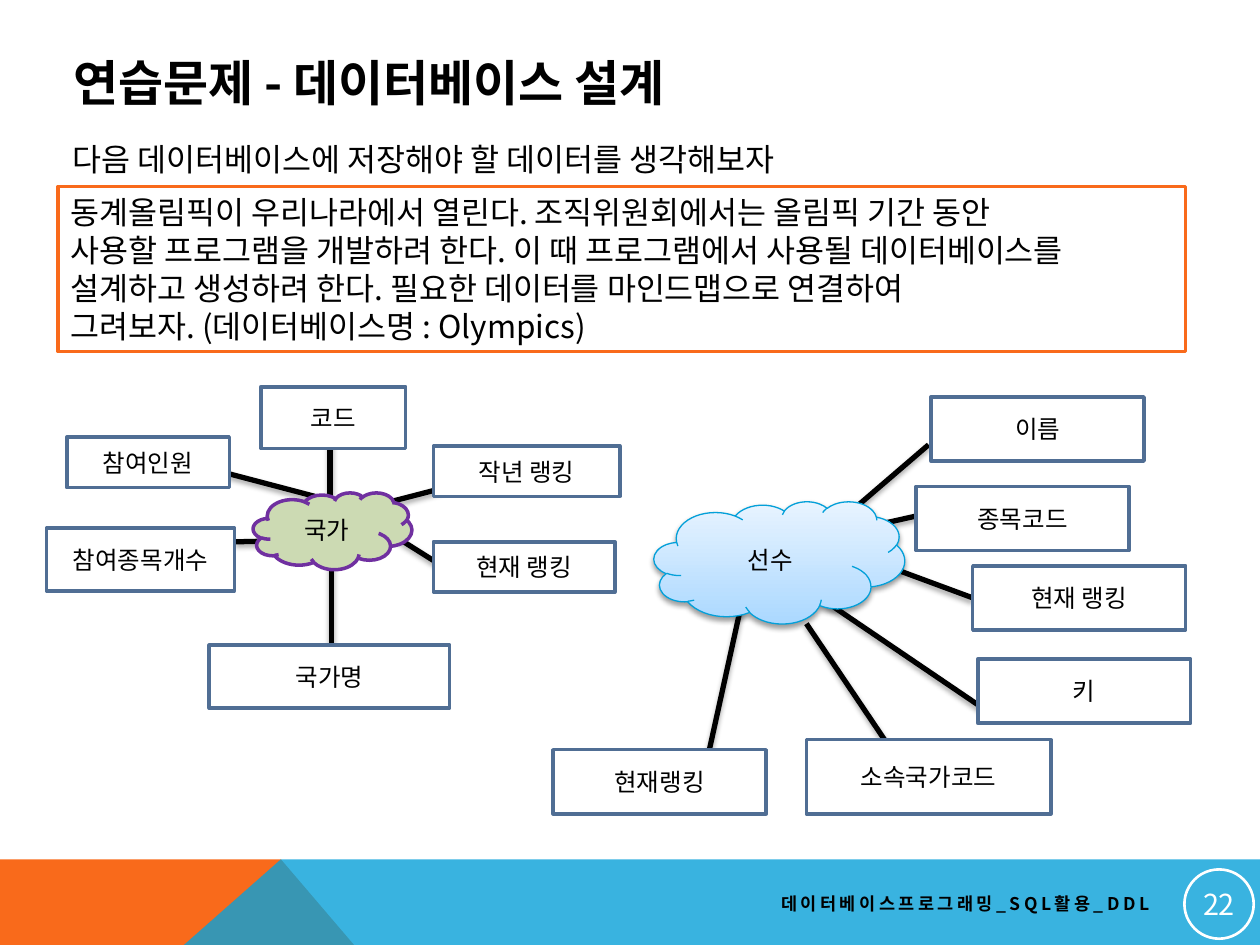
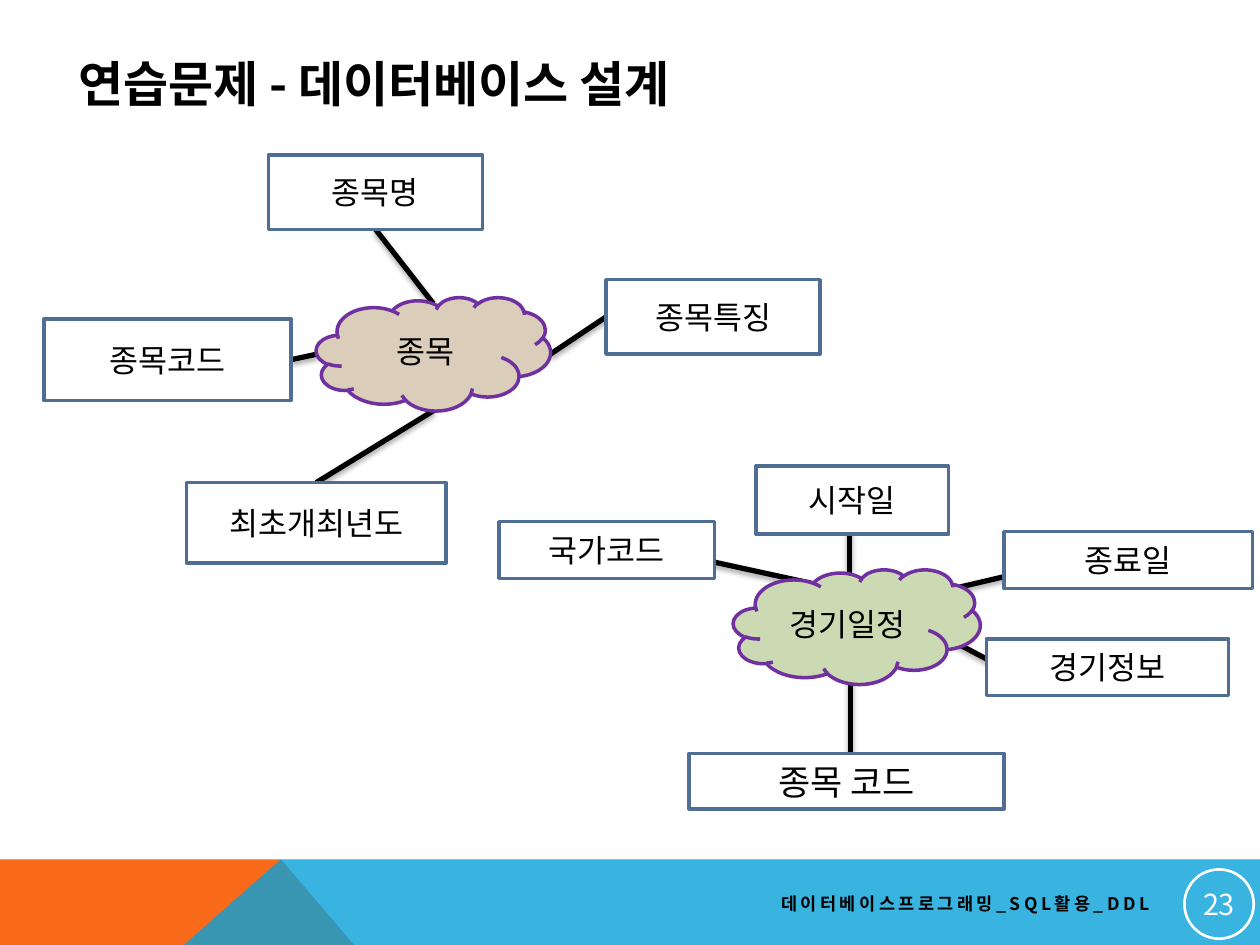
from dataclasses import dataclass
from typing import Optional

from lxml import etree
from pptx import Presentation
from pptx.dml.color import RGBColor
from pptx.enum.shapes import MSO_CONNECTOR, MSO_SHAPE
from pptx.enum.text import MSO_ANCHOR, PP_ALIGN
from pptx.oxml.ns import qn
from pptx.util import Inches, Pt

RECTANGLE, CLOUD, OVAL = MSO_SHAPE.RECTANGLE, MSO_SHAPE.CLOUD, MSO_SHAPE.OVAL
STRAIGHT = MSO_CONNECTOR.STRAIGHT
TOP, MIDDLE = MSO_ANCHOR.TOP, MSO_ANCHOR.MIDDLE
LEFT, CENTER, RIGHT = PP_ALIGN.LEFT, PP_ALIGN.CENTER, PP_ALIGN.RIGHT
SIDE_TOP, SIDE_LEFT, SIDE_BOTTOM, SIDE_RIGHT = range(4)

FONT = "Noto Sans CJK KR"
BLACK, WHITE = "000000", "FFFFFF"
ORANGE, BLUE, STEEL, PURPLE = "F96A1B", "08A1D9", "506E94", "7030A0"
GREEN, BEIGE = "CCDAB3", "DACEBB"
SKY, SKY_DARK, SKY_LIGHT = "03A0D9", "ABD8FF", "E8F4FF"
TITLE = "연습문제 - 데이터베이스 설계"
FOOTER = "데이터베이스프로그래밍_SQL활용_DDL"
BODY_LINE_HEIGHT = 21.7


@dataclass
class Branch:
    """A labelled box and the line from it (start) to its cloud (end)."""
    label: str
    box: tuple
    start: tuple
    end: tuple
    side: Optional[int] = None  # box side whose middle the line joins
    size: Optional[float] = None


def color(value):
    return RGBColor.from_string(value)


def inches(values):
    return [Inches(value) for value in values]


def write(shape, lines, size, ink=BLACK, align=CENTER, anchor=MIDDLE,
          bold=False, spacing=None, line_height=None):
    """Fill the shape with one paragraph; lines are split by line breaks."""
    frame = shape.text_frame
    frame.word_wrap = True
    frame.vertical_anchor = anchor
    paragraph = frame.paragraphs[0]
    paragraph.alignment = align
    if line_height:
        paragraph.line_spacing = Pt(line_height)
    for index, line in enumerate(lines):
        if index:
            paragraph.add_line_break()
        run = paragraph.add_run()
        run.text = line
        run.font.name = FONT
        run.font.size = Pt(size)
        run.font.bold = bold
        run.font.color.rgb = color(ink)
        properties = run.font._element
        etree.SubElement(properties, qn("a:ea"), typeface=FONT)
        if spacing:
            properties.set("spc", str(spacing * 100))


def add_text(slide, box, lines, size, **style):
    shape = slide.shapes.add_textbox(*inches(box))
    write(shape, lines, size, **style)


def add_figure(slide, kind, box, fill, line, width=2):
    shape = slide.shapes.add_shape(kind, *inches(box))
    shape.shadow.inherit = False
    if fill:
        shape.fill.solid()
        shape.fill.fore_color.rgb = color(fill)
    else:
        shape.fill.background()
    shape.line.color.rgb = color(line)
    shape.line.width = Pt(width)
    return shape


def add_shadow(shape, alpha):
    """Give the shape a soft shadow falling straight down."""
    properties = shape._element.spPr
    effects = properties.find(qn("a:effectLst"))
    if effects is None:
        effects = etree.SubElement(properties, qn("a:effectLst"))
    shadow = etree.SubElement(effects, qn("a:outerShdw"), blurRad=str(Pt(3.1)),
                              dist=str(Pt(1.8)), dir="5400000", rotWithShape="0")
    ink = etree.SubElement(shadow, qn("a:srgbClr"), val=BLACK)
    etree.SubElement(ink, qn("a:alpha"), val=str(alpha * 1000))


def add_line(slide, start, end):
    line = slide.shapes.add_connector(STRAIGHT, *inches(start + end))
    line.line.color.rgb = color(BLACK)
    line.line.width = Pt(3)
    add_shadow(line, 35)
    return line


def add_band(slide, points, fill, opacity=100):
    corners = [tuple(inches(point)) for point in points]
    builder = slide.shapes.build_freeform(*corners[0])
    builder.add_line_segments(corners[1:], close=True)
    band = builder.convert_to_shape()
    band.shadow.inherit = False
    band.fill.solid()
    band.fill.fore_color.rgb = color(fill)
    band.line.fill.background()
    if opacity < 100:
        ink = band._element.spPr.find(qn("a:solidFill")).find(qn("a:srgbClr"))
        etree.SubElement(ink, qn("a:alpha"), val=str(opacity * 1000))


def add_base_slide(presentation, number, title_left, title_top):
    """Slide with title, footer bands, footer text and page number."""
    slide = presentation.slides.add_slide(presentation.slide_layouts[5])
    add_band(slide, [(0, 6.82), (2.23, 6.82), (2.81, 7.5), (0, 7.5)], ORANGE)
    add_band(slide, [(2.23, 6.82), (10, 6.82), (10, 7.5), (1.46, 7.5)], BLUE, 80)
    add_text(slide, (3.58, 7.02, 5.64, 0.3), [FOOTER], 10,
             align=RIGHT, bold=True, spacing=2)

    badge = add_figure(slide, OVAL, (9.4, 6.9, 0.55, 0.55), None, WHITE, 1.5)
    frame = badge.text_frame
    frame.margin_left = frame.margin_right = Inches(0.01)
    frame.margin_top = frame.margin_bottom = Inches(0.01)
    write(badge, [str(number)], 16.5, ink=WHITE)

    title = slide.shapes.title
    title.left, title.top, title.width, title.height = inches(
        (title_left, title_top, 8.22, 0.6))
    write(title, [TITLE], 28, align=LEFT, bold=True)
    return slide


def add_mind_map(slide, topic, box, branches, size, fill=None, line=PURPLE, width=2):
    """Lines lie at the back, then the boxes, then the cloud."""
    lines = [add_line(slide, branch.start, branch.end) for branch in branches]
    for branch, connector in zip(branches, lines):
        shape = add_figure(slide, RECTANGLE, branch.box, WHITE, STEEL)
        write(shape, [branch.label], branch.size or size)
        if branch.side is not None:
            connector.begin_connect(shape, branch.side)
    cloud = add_figure(slide, CLOUD, box, fill, line, width)
    write(cloud, [topic], size)
    return cloud


def build_country_and_athlete(presentation):
    slide = add_base_slide(presentation, 22, 0.48, 0.35)

    # Task
    add_text(slide, (0.48, 1.06, 8.94, 0.4),
             ["다음 데이터베이스에 저장해야 할 데이터를 생각해보자"], 18,
             align=LEFT, anchor=TOP, line_height=BODY_LINE_HEIGHT)
    task = add_figure(slide, RECTANGLE, (0.46, 1.48, 8.95, 1.31), WHITE, ORANGE)
    write(task, [
        "동계올림픽이 우리나라에서 열린다. 조직위원회에서는 올림픽 기간 동안",
        "사용할 프로그램을 개발하려 한다. 이 때 프로그램에서 사용될 데이터베이스를 "
        "설계하고 생성하려 한다. 필요한 데이터를 마인드맵으로 연결하여",
        "그려보자. (데이터베이스명 : Olympics)",
    ], 18, align=LEFT, anchor=TOP, line_height=BODY_LINE_HEIGHT)

    # Athlete
    width, height = 1.69, 0.51
    athlete = add_mind_map(slide, "선수", (5.19, 3.98, 1.99, 0.97), [
        Branch("이름", (7.39, 3.15, width, height), (7.37, 3.53), (6.52, 4.26)),
        Branch("종목코드", (7.27, 3.86, width, height), (7.61, 4.02), (6.76, 4.21)),
        Branch("현재 랭킹", (7.72, 4.49, width, height), (7.72, 4.74), (6.84, 4.42),
               SIDE_LEFT),
        Branch("키", (7.76, 5.23, width, height), (7.8, 5.62), (6.12, 4.48)),
        Branch("현재랭킹", (4.39, 5.95, width, height), (5.63, 5.95), (5.91, 4.68)),
        Branch("소속국가코드", (6.4, 5.87, 1.94, 0.59), (7.02, 5.87), (6.4, 4.95)),
    ], 14, line=SKY, width=0.75)
    athlete.fill.gradient()
    athlete.fill.gradient_angle = 90
    for stop, shade in zip(athlete.fill.gradient_stops, (SKY_DARK, SKY_LIGHT)):
        stop.color.rgb = color(shade)
    add_shadow(athlete, 38)

    # Country
    add_mind_map(slide, "국가", (2.01, 3.91, 1.26, 0.61), [
        Branch("참여종목개수", (0.37, 4.19, 1.49, 0.5), (1.87, 4.3), (2.36, 4.29)),
        Branch("참여인원", (0.53, 3.47, 1.29, 0.4), (1.74, 3.74), (2.5, 3.94)),
        Branch("코드", (2.07, 3.07, 1.15, 0.49), (2.62, 3.29), (2.62, 4.13)),
        Branch("현재 랭킹", (3.44, 4.3, 1.44, 0.4), (3.57, 4.53), (3.14, 4.26)),
        Branch("국가명", (1.66, 5.12, 1.91, 0.5), (2.63, 5.19), (2.63, 4.35)),
        Branch("작년 랭킹", (3.44, 3.54, 1.48, 0.4), (3.57, 3.86), (2.99, 4.01)),
    ], 14, fill=GREEN)


def build_sport_and_schedule(presentation):
    slide = add_base_slide(presentation, 23, 0.52, 0.36)

    # Sport
    add_mind_map(slide, "종목", (2.51, 2.36, 1.86, 0.9), [
        Branch("최초개최년도", (1.48, 3.83, 2.06, 0.64), (2.51, 3.83), (3.44, 3.26),
               SIDE_TOP),
        Branch("종목코드", (0.35, 2.53, 1.96, 0.65), (2.31, 2.86), (2.52, 2.81),
               SIDE_RIGHT),
        Branch("종목명", (2.13, 1.23, 1.7, 0.59), (2.98, 1.82), (3.44, 2.41),
               SIDE_BOTTOM),
        Branch("종목특징", (4.81, 2.22, 1.7, 0.59), (4.81, 2.51), (4.37, 2.81),
               SIDE_LEFT),
    ], 18, fill=BEIGE)

    # Match schedule
    add_mind_map(slide, "경기일정", (5.82, 4.52, 1.96, 0.91), [
        Branch("국가코드", (3.96, 4.14, 1.71, 0.45), (5.57, 4.44), (6.58, 4.66)),
        Branch("시작일", (6, 3.7, 1.53, 0.54), (6.74, 3.95), (6.74, 4.88)),
        Branch("경기정보", (7.83, 5.07, 1.92, 0.45), (8, 5.32), (7.43, 5.02)),
        Branch("종목 코드", (5.47, 5.98, 2.5, 0.44), (6.75, 6.06), (6.75, 5.13),
               size=20),
        Branch("종료일", (7.97, 4.22, 1.97, 0.45), (8, 4.57), (7.23, 4.75)),
    ], 18, fill=GREEN)


def main():
    presentation = Presentation()
    presentation.slide_width, presentation.slide_height = Inches(10), Inches(7.5)
    build_country_and_athlete(presentation)
    build_sport_and_schedule(presentation)
    presentation.save("out.pptx")


if __name__ == "__main__":
    main()
